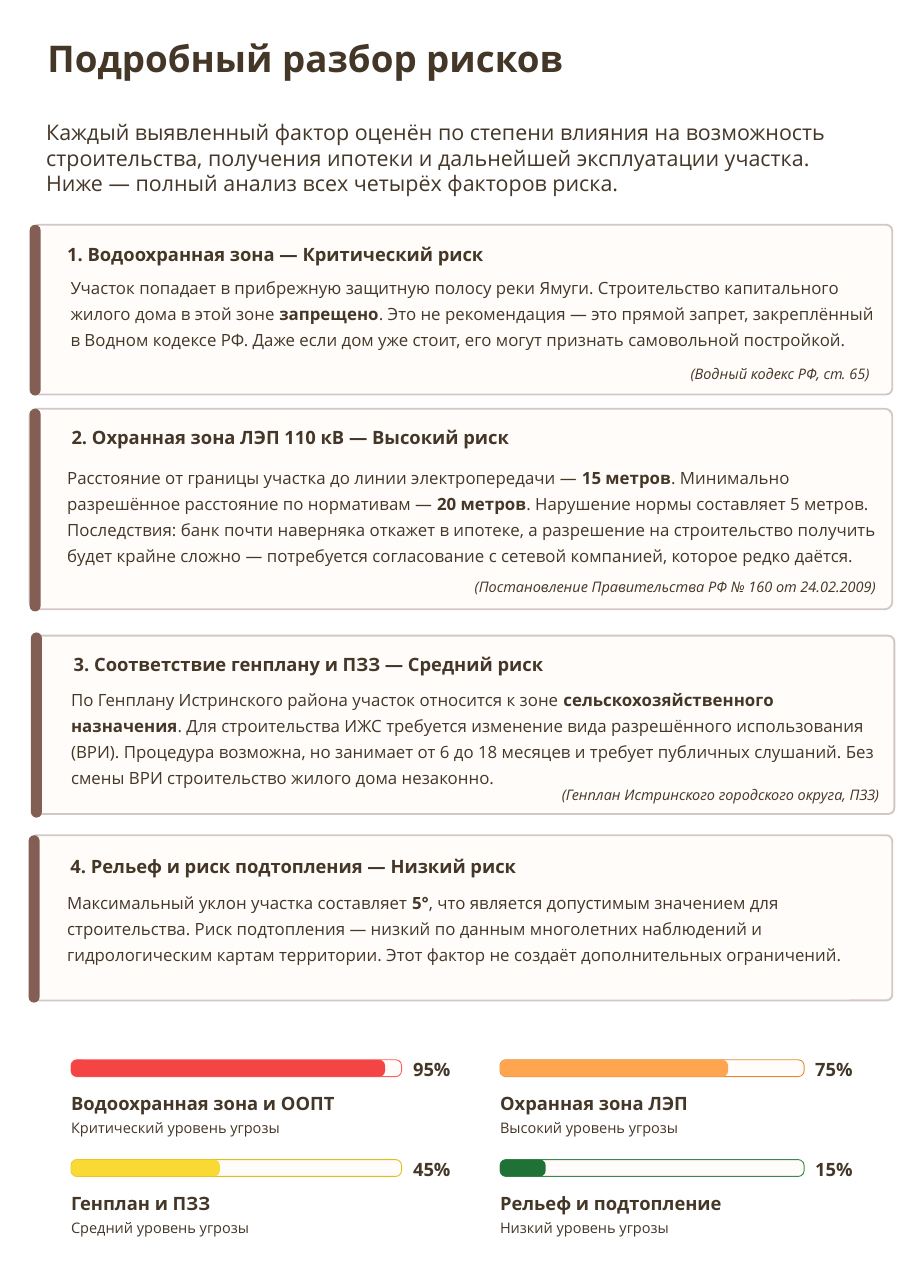
from pptx import Presentation
from pptx.dml.color import RGBColor
from pptx.enum.shapes import MSO_SHAPE
from pptx.util import Pt

BROWN = RGBColor(0x44, 0x37, 0x28)
CREAM = RGBColor(0xFF, 0xFC, 0xFA)
CARD_EDGE = RGBColor(0xD1, 0xC8, 0xC6)
ACCENT = RGBColor(0x83, 0x5E, 0x54)
RED, RED_EDGE = RGBColor(0xF4, 0x44, 0x44), RGBColor(0xFF, 0x5D, 0x5D)
ORANGE, ORANGE_EDGE = RGBColor(0xFF, 0xA4, 0x4F), RGBColor(0xE5, 0x8A, 0x35)
YELLOW, YELLOW_EDGE = RGBColor(0xF9, 0xD9, 0x33), RGBColor(0xDF, 0xBF, 0x19)
GREEN, GREEN_EDGE = RGBColor(0x1F, 0x71, 0x35), RGBColor(0x38, 0x8A, 0x4E)

prs = Presentation()
prs.slide_width, prs.slide_height = Pt(595.44), Pt(841.68)
slide = prs.slides.add_slide(prs.slide_layouts[6])


def add_text(text, x, y, w, h, size, spacing=None, bold=False, italic=False):
    frame = slide.shapes.add_textbox(Pt(x), Pt(y), Pt(w), Pt(h)).text_frame
    frame.word_wrap = True
    frame.margin_left = frame.margin_top = frame.margin_right = frame.margin_bottom = 0
    paragraph = frame.paragraphs[0]
    if spacing:
        paragraph.line_spacing = Pt(spacing)
    for i, part in enumerate(text.split("**")):
        run = paragraph.add_run()
        run.text = part
        run.font.name = "Open Sans"
        run.font.size = Pt(size)
        run.font.color.rgb = BROWN
        run.font.bold = bold or i % 2 == 1
        run.font.italic = italic


def add_rounded(x, y, w, h, radius, fill, edge=None, edge_width=0):
    shape = slide.shapes.add_shape(MSO_SHAPE.ROUNDED_RECTANGLE, Pt(x), Pt(y), Pt(w), Pt(h))
    shape.adjustments[0] = radius
    shape.shadow.inherit = False
    shape.fill.solid()
    shape.fill.fore_color.rgb = fill
    if edge is None:
        shape.line.fill.background()
    else:
        shape.line.color.rgb = edge
        shape.line.width = Pt(edge_width)


add_text("Подробный разбор рисков", 31, 22.3, 400, 30, 24, 30, bold=True)
add_text("Каждый выявленный фактор оценён по степени влияния на возможность строительства, "
         "получения ипотеки и дальнейшей эксплуатации участка. Ниже — полный анализ всех "
         "четырёх факторов риска.", 30.2, 77.8, 530, 62.6, 14)

cards = [
    dict(card=(21.6, 146.9, 561.6, 110.9), stripe=(19.4, 146.9, 7.2, 111.6),
         title="1. Водоохранная зона — Критический риск", title_at=(43.9, 158.4),
         body="Участок попадает в прибрежную защитную полосу реки Ямуги. Строительство "
              "капитального жилого дома в этой зоне **запрещено**. Это не рекомендация — это "
              "прямой запрет, закреплённый в Водном кодексе РФ. Даже если дом уже стоит, его "
              "могут признать самовольной постройкой.",
         body_at=(46.1, 177.8, 529.2, 51),
         note="(Водный кодекс РФ, ст. 65)", note_at=(451.4, 238.3, 130)),
    dict(card=(19.4, 267.1, 563.8, 131), stripe=(19.4, 267.1, 7.2, 132.5),
         title="2. Охранная зона ЛЭП 110 кВ — Высокий риск", title_at=(46.8, 277.9),
         body="Расстояние от границы участка до линии электропередачи — **15 метров**. "
              "Минимально разрешённое расстояние по нормативам — **20 метров**. Нарушение нормы "
              "составляет 5 метров. Последствия: банк почти наверняка откажет в ипотеке, а "
              "разрешение на строительство получить будет крайне сложно — потребуется "
              "согласование с сетевой компанией, которое редко даётся.",
         body_at=(43.9, 301.7, 530, 68),
         note="(Постановление Правительства РФ № 160 от 24.02.2009)", note_at=(310.3, 377.3, 280)),
    dict(card=(21.6, 415.4, 563, 116.6), stripe=(20.2, 413.3, 7.2, 121),
         title="3. Соответствие генплану и ПЗЗ — Средний риск", title_at=(48.2, 426.2),
         body="По Генплану Истринского района участок относится к зоне "
              "**сельскохозяйственного назначения**. Для строительства ИЖС требуется изменение "
              "вида разрешённого использования (ВРИ). Процедура возможна, но занимает от 6 до 18 "
              "месяцев и требует публичных слушаний. Без смены ВРИ строительство жилого дома "
              "незаконно.",
         body_at=(46.5, 447.1, 530.6, 68),
         note="(Генплан Истринского городского округа, ПЗЗ)", note_at=(367.2, 513.4, 220)),
    dict(card=(20.2, 545.8, 563, 108), stripe=(18.7, 545.8, 7.2, 109.4),
         title="4. Рельеф и риск подтопления — Низкий риск", title_at=(46.1, 558),
         body="Максимальный уклон участка составляет **5°**, что является допустимым значением "
              "для строительства. Риск подтопления — низкий по данным многолетних наблюдений и "
              "гидрологическим картам территории. Этот фактор не создаёт дополнительных "
              "ограничений.",
         body_at=(43.9, 579.6, 540, 51)),
]
for card in cards:
    add_rounded(*card["card"], 0.035, CREAM, CARD_EDGE, 1.2)
    add_rounded(*card["stripe"], 0.5, ACCENT)
    add_text(card["title"], *card["title_at"], 512, 19, 12, 15, bold=True)
    add_text(card["body"], *card["body_at"], 11, 17)
    if "note" in card:
        add_text(card["note"], *card["note_at"], 13, 9.5, 11.5, italic=True)

threats = [
    (95, "Водоохранная зона и ООПТ", "Критический", RED, RED_EDGE),
    (75, "Охранная зона ЛЭП", "Высокий", ORANGE, ORANGE_EDGE),
    (45, "Генплан и ПЗЗ", "Средний", YELLOW, YELLOW_EDGE),
    (15, "Рельеф и подтопление", "Низкий", GREEN, GREEN_EDGE),
]
columns = [(46.5, 216, 270), (326.9, 198.7, 532.8)]
for i, (percent, name, level, color, edge) in enumerate(threats):
    x, track, percent_x = columns[i % 2]
    y = 692.6 + i // 2 * 65.2
    add_rounded(x, y, track, 11, 0.34, CREAM, edge, 0.6)
    add_rounded(x, y, track * percent / 100, 11, 0.34, color)
    add_text(f"{percent}%", percent_x, y + 1.2, 40, 12, 12, 12, bold=True)
    add_text(name, x, y + 20.7, 200, 15, 12, 15, bold=True)
    add_text(f"{level} уровень угрозы", x, y + 38.7, 200, 11.5, 9.5, 11.5)

prs.save("out.pptx")
